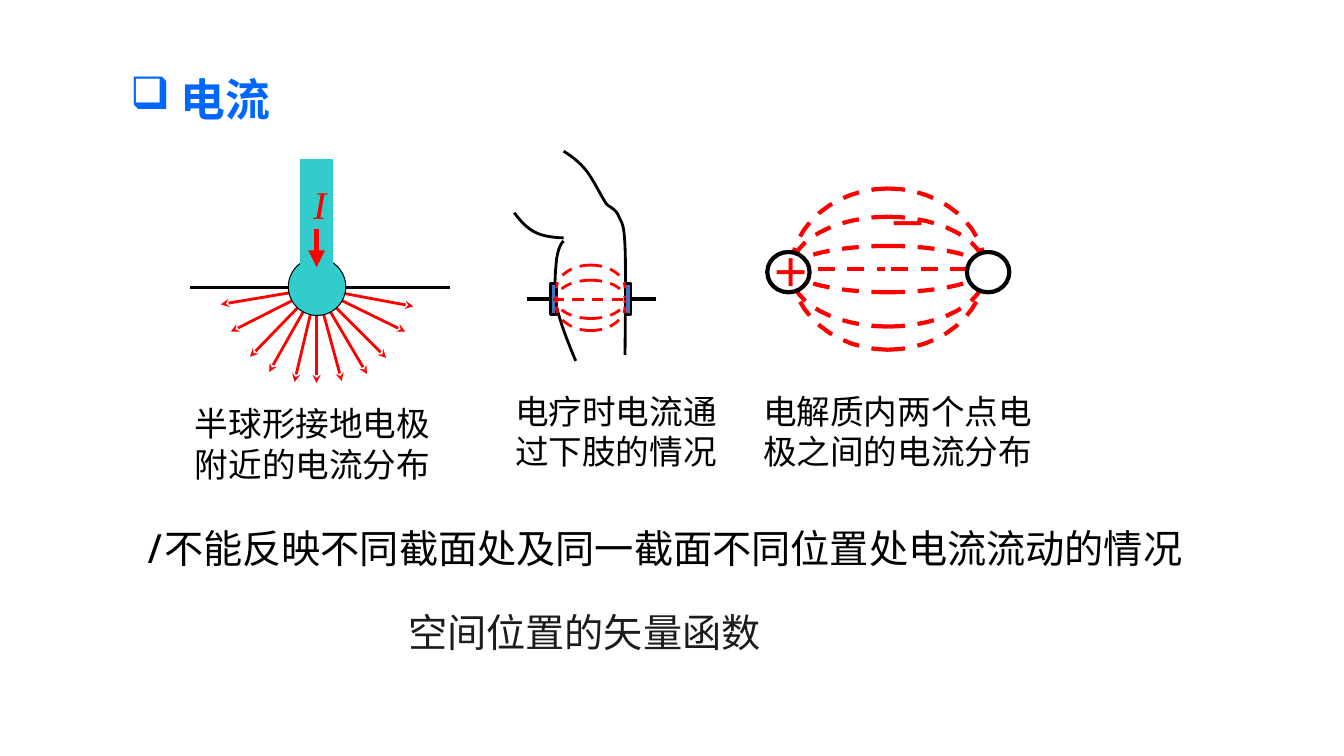
import lxml.etree
import pptx
import pptx.dml.color
import pptx.enum.dml
import pptx.enum.shapes
import pptx.enum.text
import pptx.oxml
import pptx.oxml.ns
import pptx.util

Inches = pptx.util.Inches
SHAPE = pptx.enum.shapes.MSO_SHAPE
ALIGN = pptx.enum.text.PP_ALIGN
SANS, SERIF = "Noto Sans CJK SC", "Times New Roman"
COLORS = {"black": "000000", "red": "FF0000", "teal": "33CCCC", "pad": "4472C4",
          "white": "FFFFFF", "dark": "1C1C1C", "title": "0066FF"}
CAPTION = {"size": 24, "name": SANS, "color": "black"}
STATEMENT = {"size": 28, "name": SANS, "color": "black"}
CURRENT = {"size": 28, "name": SERIF, "color": "red", "italic": True}
CHARGE = {"size": 28, "name": SERIF, "color": "red", "bold": True}
CONCLUSION = {"size": 28, "name": SERIF, "color": "dark"}
TITLE = {"size": 32, "name": SERIF, "color": "title", "bold": True}


def rgb(color):
    return pptx.dml.color.RGBColor.from_string(COLORS[color])


def add_child(parent, tag, **attributes):
    child = lxml.etree.SubElement(parent, pptx.oxml.ns.qn(tag))
    for key, value in attributes.items():
        child.set(key, value)
    return child


def set_font(run, style):
    for key, value in style.items():
        if key == "color":
            run.font.color.rgb = rgb(value)
        else:
            setattr(run.font, key, pptx.util.Pt(value) if key == "size" else value)
    latin = run.font._element.find(pptx.oxml.ns.qn("a:latin"))
    east_asian = pptx.oxml.parse_xml(
        f'<a:ea {pptx.oxml.ns.nsdecls("a")} typeface="{SANS}"/>')
    latin.addnext(east_asian)


def set_line(line, color, width, dashed=False):
    line.color.rgb = rgb(color)
    line.width = pptx.util.Pt(width)
    if dashed:
        line.dash_style = pptx.enum.dml.MSO_LINE.DASH


def bezier(start, segments, steps=12):
    """Points along joined cubic segments, each given as six coordinates."""
    points = [start]
    for ax, ay, bx, by, ex, ey in segments:
        sx, sy = points[-1]
        for step in range(1, steps + 1):
            t = step / steps
            u = 1 - t
            points.append(tuple(
                u**3 * s + 3 * u * u * t * a + 3 * u * t * t * b + t**3 * e
                for s, a, b, e in ((sx, ax, bx, ex), (sy, ay, by, ey))))
    return points


class Panel:
    """A region of the slide; its parts are placed in inches from its corner."""

    def __init__(self, slide, left, top):
        self.shapes, self.left, self.top = slide.shapes, left, top

    def at(self, x, y):
        return Inches(self.left + x), Inches(self.top + y)

    def line(self, start, end, color, width, dashed=False, head=None):
        connector = self.shapes.add_connector(
            pptx.enum.shapes.MSO_CONNECTOR.STRAIGHT, *self.at(*start), *self.at(*end))
        set_line(connector.line, color, width, dashed)
        if head:
            add_child(connector.line._get_or_add_ln(), "a:tailEnd", type=head)
        add_child(connector._element.spPr, "a:effectLst")
        return connector

    def solid(self, kind, x, y, width, height, fill, outline, weight):
        solid = self.shapes.add_shape(kind, *self.at(x, y), Inches(width), Inches(height))
        solid.shadow.inherit = False
        solid.fill.solid()
        solid.fill.fore_color.rgb = rgb(fill)
        set_line(solid.line, outline, weight)
        return solid

    def curve(self, start, segments, color, width, dashed=False):
        points = [self.at(*point) for point in bezier(start, segments)]
        builder = self.shapes.build_freeform(*points[0])
        builder.add_line_segments(points[1:], close=False)
        curve = builder.convert_to_shape()
        curve.shadow.inherit = False
        curve.fill.background()
        set_line(curve.line, color, width, dashed)

    def field(self, center, radius, arcs, width):
        """Dashed field lines, each two quarter ellipses from apex to base."""
        for apex, base in arcs:
            for reach in (-radius, radius):
                side = center + reach
                self.curve((center, apex), [(center + 0.55 * reach, apex,
                           side, base + 0.45 * (apex - base) * 1.2, side, base)],
                           "red", width, True)

    def text(self, x, y, width, height, runs, align=ALIGN.LEFT, wrap=True):
        box = self.shapes.add_textbox(*self.at(x, y), Inches(width), Inches(height))
        box.text_frame.word_wrap = wrap
        paragraph = box.text_frame.paragraphs[0]
        paragraph.alignment = align
        for words, style in runs:
            run = paragraph.add_run()
            run.text = words
            set_font(run, style)
        return paragraph


def ground_electrode(slide, left, top):
    panel = Panel(slide, left, top)
    panel.line((0, 1.27), (2.58, 1.27), "black", 2.25)
    tips = [(0.31, 1.44), (0.41, 1.71), (0.6, 1.96), (0.79, 2.11), (1.04, 2.21),
            (1.26, 2.22), (1.51, 2.2), (1.76, 2.13), (1.95, 1.97), (2.14, 1.71),
            (2.22, 1.46)]
    for tip in tips:
        panel.line((1.26, 1.28), tip, "red", 2, head="stealth")
    panel.solid(SHAPE.OVAL, 0.98, 0.98, 0.57, 0.57, "teal", "black", 0.75)
    panel.solid(SHAPE.RECTANGLE, 1.1, 0, 0.32, 1.08, "teal", "teal", 0.75)
    panel.text(1.13, 0.16, 0.33, 0.57, [("I", CURRENT)], wrap=False)
    panel.line((1.26, 0.69), (1.26, 1.07), "red", 4, head="triangle")
    panel.text(-0.07, 2.37, 2.58, 0.91, [("半球形接地电极附近的电流分布", CAPTION)],
               ALIGN.CENTER)


def leg_therapy(slide, left, top):
    panel = Panel(slide, left, top)
    outlines = [
        ((0, 0.61), [(0.06, 0.69, 0.13, 0.77, 0.22, 0.81),
                     (0.3, 0.85, 0.44, 0.86, 0.49, 0.86)]),
        ((0.49, 0), [(0.57, 0.05, 0.65, 0.11, 0.72, 0.2),
                     (0.79, 0.29, 0.88, 0.48, 0.92, 0.53)]),
        ((0.92, 0.53), [(0.96, 0.56, 1.01, 0.58, 1.04, 0.65),
                        (1.07, 0.72, 1.09, 0.72, 1.1, 0.95),
                        (1.11, 1.18, 1.1, 1.84, 1.1, 2.02)]),
        ((0.49, 0.89), [(0.46, 0.92, 0.44, 0.96, 0.42, 1.07),
                        (0.41, 1.18, 0.39, 1.37, 0.42, 1.54),
                        (0.46, 1.71, 0.53, 1.89, 0.61, 2.08)])]
    for start, segments in outlines:
        panel.curve(start, segments, "black", 2)
    left_pad, right_pad = [
        panel.solid(SHAPE.RECTANGLE, x, 1.31, 0.06, 0.31, "pad", "black", 2)
        for x in (0.36, 1.1)]
    panel.field(0.76, 0.34, [(1.78, 1.54), (1.13, 1.36), (1.28, 1.46), (1.66, 1.48)], 2)
    panel.line((0.38, 1.47), (1.12, 1.47), "red", 2, True)
    for outer, inner, pad, site in ((1.41, 1.16, right_pad, 3), (0.13, 0.36, left_pad, 1)):
        lead = panel.line((outer, 1.465), (inner, 1.465), "black", 3)
        lead.end_connect(pad, site)
    panel.text(-0.09, 2.33, 2.42, 0.91, [("电疗时电流通过下肢的情况", CAPTION)])


def electrolyte(slide, left, top):
    panel = Panel(slide, left, top)
    for start, end in ((0.21, 1.17), (1.23, 2.18)):
        panel.line((start, 0.8), (end, 0.8), "red", 3, True)
    panel.field(1.2, 0.96, [(0.57, 0.8), (1.03, 0.8), (0.28, 0.8), (1.37, 0.85),
                            (0, 0.8), (1.6, 0.8)], 3)
    for x in (1.98, 0):
        panel.solid(SHAPE.OVAL, x, 0.63, 0.42, 0.4, "white", "black", 3)
    panel.text(-0.06, 0.54, 0.42, 0.57, [("＋", CHARGE)])
    panel.text(1.1, 0.06, 0.83, 0.57, [("－", CHARGE)])
    panel.text(-0.14, 1.96, 2.92, 0.91, [("电解质内两个点电极之间的电流分布", CAPTION)])


def heading(slide, left, top):
    title = Panel(slide, left, top).text(0, 0, 2.95, 0.83, [("电流", TITLE)], ALIGN.CENTER)
    title.line_spacing = 1.5
    properties = title._p.get_or_add_pPr()
    properties.set("marL", str(Inches(0.5)))
    properties.set("indent", str(Inches(-0.5)))
    add_child(properties, "a:buChar", char="❑")


def statements(slide, left, top):
    panel = Panel(slide, left, top)
    panel.text(0, 0, 10.68, 0.57, [
        ("I ", {**STATEMENT, "italic": True}),
        ("不能反映不同截面处及同一截面不同位置处电流流动的情况", STATEMENT)], ALIGN.JUSTIFY)
    panel.text(2.62, 0.84, 3.83, 0.57, [("空间位置的矢量函数", CONCLUSION)], wrap=False)


def main():
    deck = pptx.Presentation()
    deck.slide_width, deck.slide_height = Inches(13.33), Inches(7.5)
    slide = deck.slides.add_slide(deck.slide_layouts[6])
    heading(slide, 0.51, 0.4)
    ground_electrode(slide, 1.88, 1.58)
    leg_therapy(slide, 5.1, 1.5)
    electrolyte(slide, 7.61, 1.87)
    statements(slide, 1.33, 5.15)
    deck.save("out.pptx")


if __name__ == "__main__":
    main()
